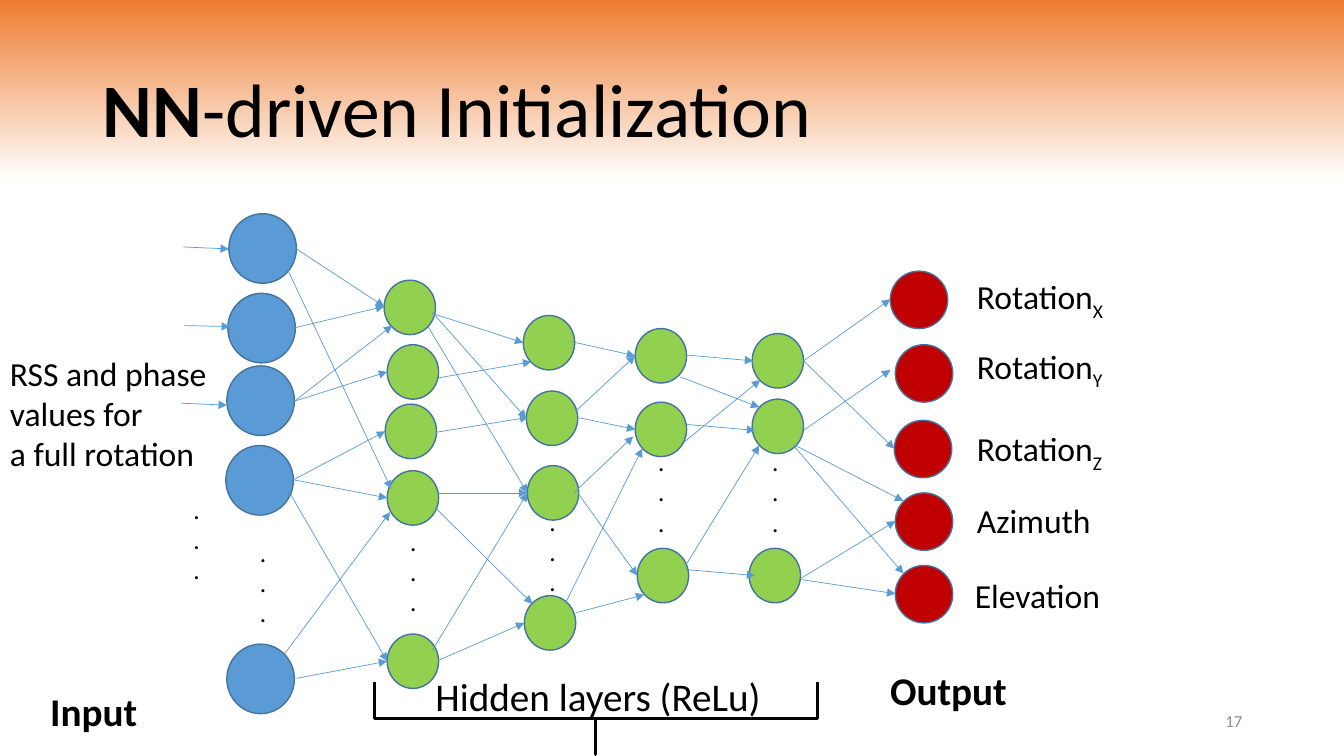
"""Build the slide showing the neural network behind NN-driven initialization."""
from dataclasses import dataclass

from lxml import etree
from pptx import Presentation
from pptx.dml.color import RGBColor
from pptx.enum import shapes, text
from pptx.oxml.ns import qn
from pptx.util import Inches, Pt


@dataclass(frozen=True)
class Theme:
    font: str = "Calibri"
    black: RGBColor = RGBColor(0x00, 0x00, 0x00)
    white: RGBColor = RGBColor(0xFF, 0xFF, 0xFF)
    grey: RGBColor = RGBColor(0x8C, 0x8C, 0x8C)
    orange: RGBColor = RGBColor(0xED, 0x7D, 0x31)
    blue: RGBColor = RGBColor(0x5B, 0x9B, 0xD5)
    outline: RGBColor = RGBColor(0x43, 0x73, 0x9E)
    green: RGBColor = RGBColor(0x92, 0xD0, 0x50)
    red: RGBColor = RGBColor(0xC0, 0x00, 0x00)
    title: int = 54
    heading: int = 28
    label: int = 24
    dots: int = 18
    number: int = 12


theme = Theme()


def add_run(p, words, size, bold=False, color=theme.black):
    r = p.add_run()
    r.text = words
    r.font.name = theme.font
    r.font.size = Pt(size)
    r.font.bold = bold
    r.font.color.rgb = color
    return r


def add_box(left, top, width, height, lines, size, bold=False, wrap=True):
    box = s.shapes.add_textbox(Inches(left), Inches(top), Inches(width), Inches(height))
    tf = box.text_frame
    tf.word_wrap = wrap
    for i, line in enumerate(lines):
        p = tf.add_paragraph() if i else tf.paragraphs[0]
        add_run(p, line, size, bold)
    return tf


prs = Presentation()
prs.slide_width, prs.slide_height = Inches(13.33), Inches(7.5)
s = prs.slides.add_slide(prs.slide_layouts[5])

fill = s.background.fill
fill.gradient()
fill.gradient_angle = 90
for stop, position, color in zip(fill.gradient_stops, (0.76, 1), (theme.white, theme.orange)):
    stop.position = position
    stop.color.rgb = color

title = s.shapes.title
title.left, title.top = Inches(0.92), Inches(0.4)
title.width, title.height = Inches(11.5), Inches(1.45)
tf = title.text_frame
tf.auto_size = text.MSO_AUTO_SIZE.NONE
tf.vertical_anchor = text.MSO_ANCHOR.MIDDLE
p = tf.paragraphs[0]
p.alignment = text.PP_ALIGN.LEFT
p.line_spacing = 0.9
add_run(p, "NN", theme.title, bold=True)
add_run(p, "-driven Initialization", theme.title)

layers = [
    (theme.blue, 0.67, 0.69, [(2.27, 2.12), (2.26, 2.91), (2.25, 3.63), (2.24, 4.42), (2.25, 6.39)]),
    (theme.green, 0.51, 0.54, [(3.81, 2.78), (3.84, 3.42), (3.82, 4.01), (3.84, 4.67), (3.84, 6.29)]),
    (theme.green, 0.51, 0.54, [(5.19, 3.13), (5.22, 3.88), (5.23, 4.62), (5.2, 5.91)]),
    (theme.green, 0.51, 0.54, [(6.3, 3.26), (6.3, 3.99), (6.32, 5.44)]),
    (theme.green, 0.51, 0.54, [(7.46, 3.31), (7.46, 3.96), (7.43, 5.44)]),
    (theme.red, 0.57, 0.57, [(8.83, 2.69), (8.88, 3.42), (8.87, 4.17), (8.88, 4.89), (8.88, 5.61)]),
]
for color, width, height, nodes in layers:
    for left, top in nodes:
        sp = s.shapes.add_shape(shapes.MSO_SHAPE.OVAL, Inches(left), Inches(top),
                                Inches(width), Inches(height))
        sp.shadow.inherit = False
        sp.fill.solid()
        sp.fill.fore_color.rgb = color
        sp.line.color.rgb = theme.outline
        sp.line.width = Pt(1)

for left, top in [(1.82, 4.85), (2.48, 5.28), (3.97, 5.17), (5.35, 4.97), (6.43, 4.38), (7.56, 4.38)]:
    add_box(left, top, 0.32, 1.01, "...", theme.dots)

signals = [(1.82, 2.45, 2.27, 2.47), (1.83, 3.23, 2.28, 3.24), (1.8, 4, 2.25, 4.02)]
input_to_first = [
    (2.94, 2.47, 3.81, 3.04), (2.93, 3.25, 3.81, 3.04), (2.92, 3.98, 3.89, 3.23),
    (2.92, 3.98, 3.84, 3.69), (2.91, 4.76, 3.82, 4.28), (2.91, 4.76, 3.84, 4.94),
    (2.82, 6.49, 3.87, 5.08), (2.68, 2.31, 3.88, 4.85), (2.88, 4.9, 3.84, 6.56),
    (2.94, 6.73, 3.84, 6.56),
]
first_to_second = [
    (4.29, 3.11, 5.19, 3.4), (4.34, 3.75, 5.27, 3.59), (4.32, 4.29, 5.24, 4.14),
    (4.34, 4.89, 5.23, 4.89), (4.35, 6.55, 5.2, 6.18), (4.29, 6.45, 5.23, 4.89),
    (4.29, 3.1, 5.22, 4.15), (4.24, 3.23, 5.23, 4.89), (4.32, 5.04, 5.28, 5.99),
]
second_to_third = [
    (5.67, 3.39, 6.3, 3.53), (5.72, 4.14, 6.3, 4.26), (5.71, 4.08, 6.3, 3.53),
    (5.69, 4.89, 6.28, 4.33), (5.73, 4.89, 6.32, 5.71), (5.71, 6.08, 6.39, 5.9),
    (5.61, 5.98, 6.37, 4.45),
]
third_to_fourth = [
    (6.78, 3.52, 7.47, 3.58), (6.8, 4.21, 7.49, 4.27), (6.8, 5.65, 7.49, 5.71),
    (6.8, 5.61, 7.53, 4.42), (6.78, 4.39, 7.54, 3.77), (6.75, 3.74, 7.53, 4.04),
]
fourth_to_output = [
    (7.97, 3.58, 8.83, 2.97), (7.97, 4.27, 8.83, 3.67), (7.94, 5.74, 8.88, 5.17),
    (7.89, 4.42, 8.96, 4.97), (7.95, 5.75, 8.88, 5.89), (7.97, 3.58, 8.87, 4.45),
    (7.87, 4.42, 8.96, 5.69),
]
for arrows in (signals, input_to_first, first_to_second, second_to_third,
               third_to_fourth, fourth_to_output):
    for ends in arrows:
        arrow = s.shapes.add_connector(shapes.MSO_CONNECTOR.STRAIGHT, *map(Inches, ends))
        arrow.line.color.rgb = theme.blue
        arrow.line.width = Pt(0.5)
        sp_pr = arrow._element.spPr
        etree.SubElement(sp_pr.find(qn("a:ln")), qn("a:tailEnd"), type="triangle")
        etree.SubElement(sp_pr, qn("a:effectLst"))

brace = s.shapes.add_shape(shapes.MSO_SHAPE.RIGHT_BRACE, Inches(5.55), Inches(4.93),
                           Inches(0.72), Inches(4.39))
brace.rotation = 90
brace.adjustments[0], brace.adjustments[1] = 0, 0.5
brace.shadow.inherit = False
brace.fill.background()
brace.line.color.rgb = theme.black
brace.line.width = Pt(2.25)

add_box(4.22, 6.62, 3.49, 0.57, ["Hidden layers (ReLu)"], theme.heading, wrap=False)
add_box(8.73, 6.56, 1.37, 0.57, ["Output"], theme.heading, bold=True, wrap=False)
add_box(0.4, 6.77, 1.07, 0.57, ["Input"], theme.heading, bold=True, wrap=False)
add_box(0, 3.45, 2.29, 1.31, ["RSS and phase values for", "a full rotation"], theme.label)

outputs = [
    (9.59, 2.69, 1.48, "Rotation", "X"), (9.59, 3.38, 1.47, "Rotation", "Y"),
    (9.59, 4.2, 1.47, "Rotation", "Z"), (9.59, 4.91, 1.34, "Azimuth", ""),
    (9.57, 5.65, 1.46, "Elevation", ""),
]
for left, top, width, name, axis in outputs:
    tf = add_box(left, top, width, 0.5, [name], theme.label, wrap=False)
    if axis:
        r = add_run(tf.paragraphs[0], axis, theme.label)
        r.font._element.set("baseline", "-25000")

number = s.shapes.add_textbox(Inches(9.42), Inches(6.95), Inches(3), Inches(0.4))
number.text_frame.word_wrap = True
number.text_frame.vertical_anchor = text.MSO_ANCHOR.MIDDLE
p = number.text_frame.paragraphs[0]
p.alignment = text.PP_ALIGN.RIGHT
add_run(p, "17", theme.number, color=theme.grey)

prs.save("out.pptx")
